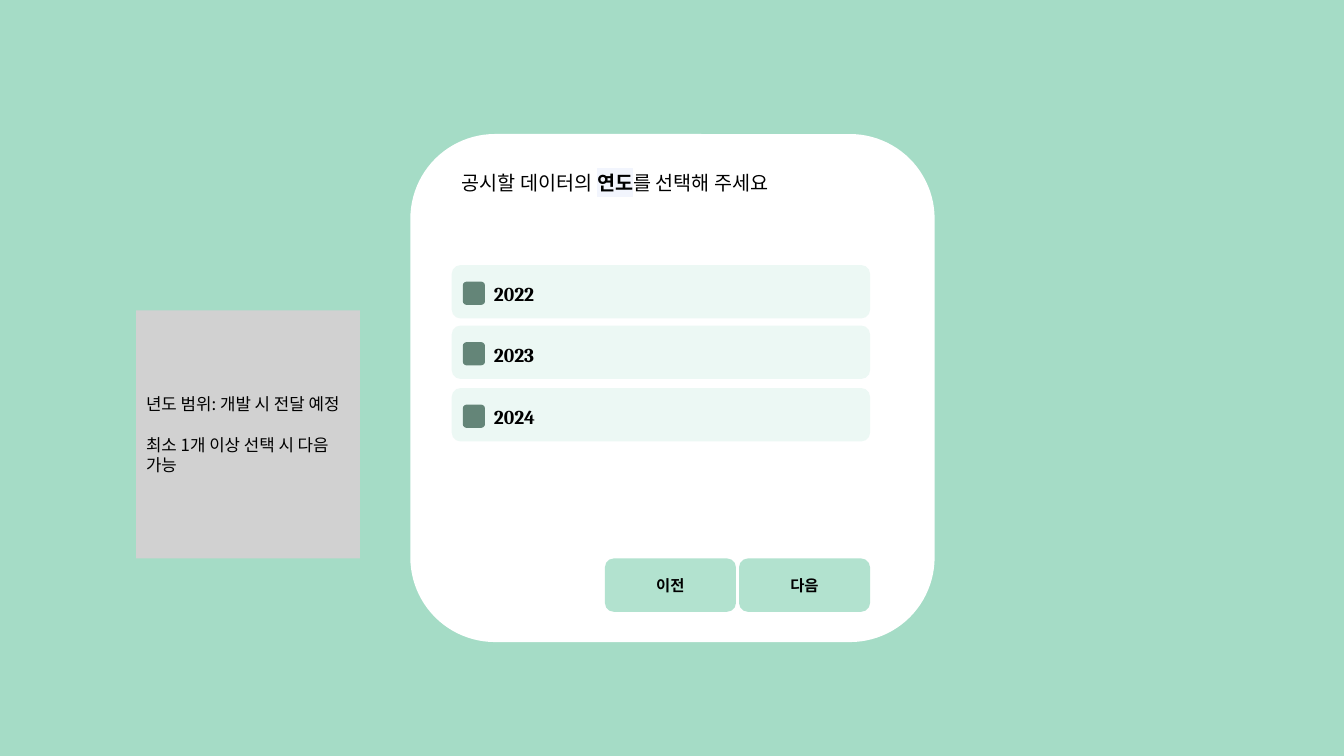
import pptx
import pptx.dml.color
import pptx.enum.shapes
import pptx.enum.text
import pptx.oxml.ns
import pptx.util
from lxml import etree

Inches = pptx.util.Inches
RGBColor = pptx.dml.color.RGBColor
SHAPE = pptx.enum.shapes.MSO_SHAPE
ALIGN = pptx.enum.text.PP_ALIGN
ANCHOR = pptx.enum.text.MSO_ANCHOR
qn = pptx.oxml.ns.qn

MINT = RGBColor(0xA5, 0xDC, 0xC6)
BUTTON_MINT = RGBColor(0xB2, 0xE2, 0xCF)
PALE_MINT = RGBColor(0xEC, 0xF8, 0xF4)
DARK_GREEN = RGBColor(0x64, 0x85, 0x78)
GREY = RGBColor(0xD1, 0xD1, 0xD1)
HIGHLIGHT = RGBColor(0xF2, 0xF5, 0xFD)
WHITE = RGBColor(0xFF, 0xFF, 0xFF)
BLACK = RGBColor(0, 0, 0)
SERIF = "Cambria"
SANS = "Noto Sans CJK KR"


def write(paragraph, text, size=14, font=SERIF, bold=False, align=ALIGN.LEFT,
          highlight=None):
    """Add one formatted run to a paragraph."""
    paragraph.alignment = align
    run = paragraph.add_run()
    run.text = text
    run.font.size = pptx.util.Pt(size)
    run.font.bold = bold
    run.font.color.rgb = BLACK
    run.font.name = font
    properties = run.font._element
    latin = properties.find(qn("a:latin"))
    if highlight is not None:
        mark = etree.Element(qn("a:highlight"))
        etree.SubElement(mark, qn("a:srgbClr"), val=str(highlight))
        latin.addprevious(mark)
    latin.addnext(etree.Element(qn("a:ea"), typeface=SANS))


def add_panel(slide, kind, left, top, width, height, color):
    panel = slide.shapes.add_shape(
        kind, Inches(left), Inches(top), Inches(width), Inches(height))
    panel.shadow.inherit = False
    panel.fill.solid()
    panel.fill.fore_color.rgb = color
    panel.line.fill.background()
    panel.text_frame.word_wrap = True
    panel.text_frame.vertical_anchor = ANCHOR.MIDDLE
    return panel


def add_question(slide, left, top, width, height):
    question = slide.shapes.title
    question.left, question.top = Inches(left), Inches(top)
    question.width, question.height = Inches(width), Inches(height)
    # Bring the title in front of the card
    question.element.getparent().append(question.element)
    frame = question.text_frame
    frame.word_wrap = True
    frame.auto_size = pptx.enum.text.MSO_AUTO_SIZE.NONE
    frame.vertical_anchor = ANCHOR.TOP
    line = frame.paragraphs[0]
    write(line, "공시할 데이터의 ")
    write(line, "연도", bold=True, highlight=HIGHLIGHT)
    write(line, "를 선택해 주세요")


def add_year_option(slide, year, left, top, width, height):
    add_panel(slide, SHAPE.ROUNDED_RECTANGLE, left, top, width, height, PALE_MINT)
    # Checkbox
    add_panel(slide, SHAPE.ROUNDED_RECTANGLE, left + 0.11, top + 0.165,
              0.22, 0.23, DARK_GREEN)
    # Year label
    label = slide.shapes.add_textbox(
        Inches(left + 0.32), Inches(top + 0.12), Inches(width - 0.32), Inches(0.34))
    label.text_frame.word_wrap = True
    write(label.text_frame.paragraphs[0], year, bold=True)


def add_button(slide, caption, left, top, width, height):
    button = add_panel(slide, SHAPE.ROUNDED_RECTANGLE, left, top, width, height,
                       BUTTON_MINT)
    write(button.text_frame.paragraphs[0], caption, size=11, font=SANS,
          bold=True, align=ALIGN.CENTER)


def add_card(slide, left, top, width, height):
    add_panel(slide, SHAPE.ROUNDED_RECTANGLE, left, top, width, height, WHITE)
    inner_left, inner_width, row_height = left + 0.41, 4.15, 0.53
    add_question(slide, inner_left, top + 0.32, inner_width, 0.34)
    # Year choices
    for year, offset in (("2022", 1.3), ("2023", 1.9), ("2024", 2.52)):
        add_year_option(slide, year, inner_left, top + offset, inner_width, row_height)
    # Navigation buttons
    for index, caption in enumerate(("이전", "다음")):
        add_button(slide, caption, left + 1.93 + index * 1.33, top + 4.21,
                   1.3, row_height)


def add_note(slide, left, top, width, height):
    note = add_panel(slide, SHAPE.RECTANGLE, left, top, width, height, GREY)
    frame = note.text_frame
    write(frame.paragraphs[0], "년도 범위: 개발 시 전달 예정", size=12, font=SANS)
    condition = frame.add_paragraph()
    condition.space_before = pptx.util.Pt(14.4)
    write(condition, "최소 1개 이상 선택 시 다음 가능", size=12, font=SANS)


def main():
    deck = pptx.Presentation()
    deck.slide_width, deck.slide_height = Inches(13.33), Inches(7.5)
    slide = deck.slides.add_slide(deck.slide_layouts[5])
    slide.background.fill.solid()
    slide.background.fill.fore_color.rgb = MINT
    add_card(slide, 4.07, 1.33, 5.2, 5.04)
    add_note(slide, 1.35, 3.08, 2.22, 2.46)
    deck.save("out.pptx")


if __name__ == "__main__":
    main()
